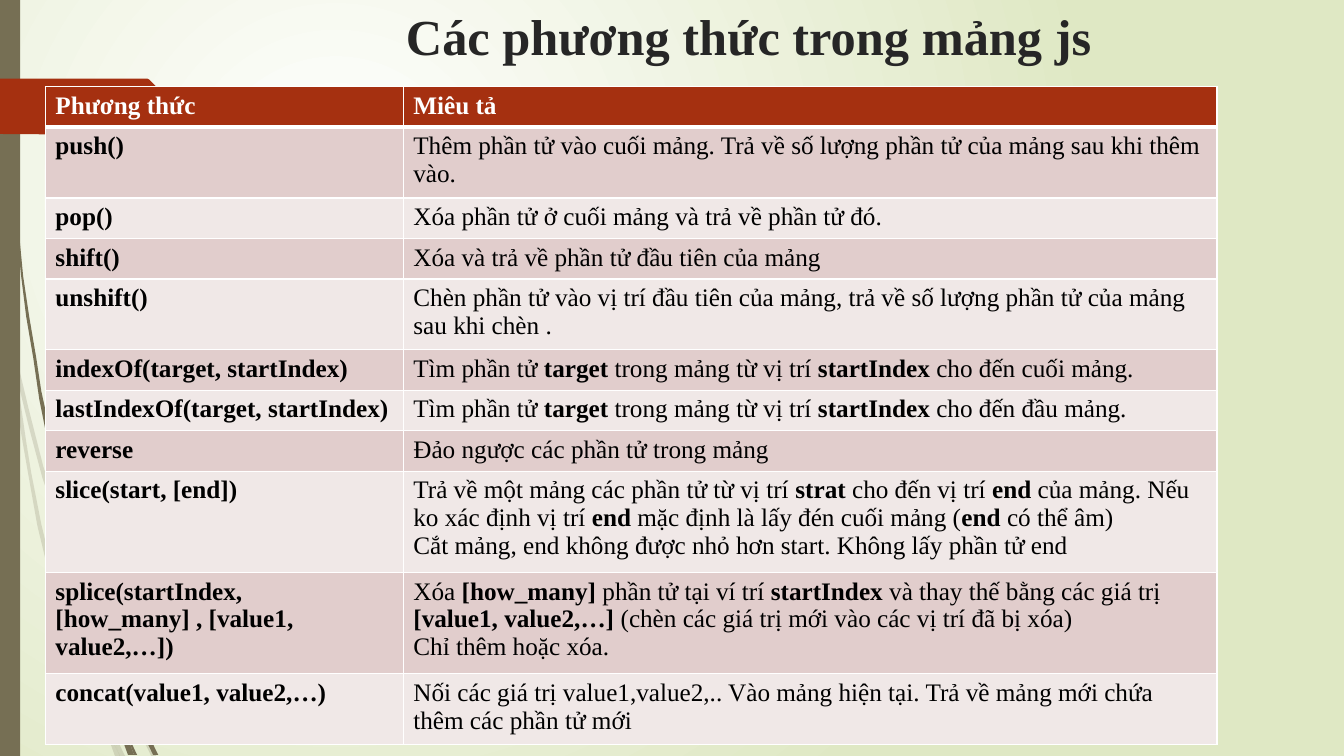
from lxml import etree
from pptx import Presentation
from pptx.dml.color import RGBColor
from pptx.enum.shapes import MSO_SHAPE
from pptx.enum.text import MSO_ANCHOR, PP_ALIGN
from pptx.oxml.ns import qn
from pptx.util import Inches, Pt

W, H = 13.33, 7.5
FONT = "Times New Roman"
OLIVE, RUST = "766F54", "A53010"
BANDS = ["E1CDCC", "F0E8E7"]

# Outlines as "x,y" corners in inches from the top left of the region.
PALE_GRASS = [
    "0.58,5.22 0.66,5.48 0.84,5.99 0.85,5.86 0.62,5.2 0.43,4.63 0.28,4.04 0.14,3.45 0.17,3.76 0.29,4.25 0.42,4.74",
    "0.92,6.07 0.88,5.96 0.88,6.1 0.99,6.39 1.23,6.94 1.5,7.5 1.55,7.5 1.27,6.92 1.03,6.36",
    "1.19,7.5 1.24,7.5 1.05,7.11",
    "0.93,6.83 0.84,6.62 0.7,6.19 0.53,5.7 0.41,5.2 0.31,4.69 0.26,4.38 0.17,3.76 0.11,3.5 0.15,3.9 0.21,4.3 "
    "0.28,4.7 0.37,5.21 0.49,5.71 0.65,6.21 0.73,6.46 0.92,6.93 1.01,7.14 0.99,7.07",
    "1.01,7.14 1.14,7.5 1.19,7.5",
    "0.96,6.92 0.93,6.83 0.99,7.07 1.01,7.14 1.19,7.5 1.05,7.11",
]
DARK_GRASS = [
    "0.07,1.1 0.09,1.51 0.12,1.92 0.17,2.33 0.21,2.74 0.26,3.14 0.33,3.55 0.39,3.96 0.47,4.36 0.57,4.81 "
    "0.55,4.53 0.48,4.2 0.41,3.88 0.36,3.55 0.29,3.14 0.23,2.74 0.19,2.32 0.14,1.91 0.1,1.51 0.08,1.09 "
    "0.05,0.48 0.04,0 0.03,0 0.04,0.48",
    "1.13,6.49 1.1,6.41 1.11,6.56 1.32,7.08 1.52,7.49 1.57,7.49 1.36,7.06",
    "1.33,7.49 1.36,7.49 1.22,7.19",
    "1.17,7.22 1.27,7.49 1.31,7.49",
    "1.16,7.06 1.1,6.91 1.16,7.17 1.17,7.22 1.3,7.49 1.33,7.49 1.22,7.19",
]
TAB = "0,0 1.46,0 1.48,0.01 1.73,0.26 1.74,0.28 1.73,0.3 1.48,0.55 1.46,0.56 0,0.55"

# Method, description (asterisks switch bold on and off), lines of text in the row.
METHODS = [
    ("push()", "Thêm phần tử vào cuối mảng. Trả về số lượng phần tử của mảng sau khi thêm vào.", 2),
    ("pop()", "Xóa phần tử ở cuối mảng và trả về phần tử đó.", 1),
    ("shift()", "Xóa và trả về phần tử đầu tiên của mảng", 1),
    ("unshift()", "Chèn phần tử vào vị trí đầu tiên của mảng, trả về số lượng phần tử của mảng sau khi chèn .", 2),
    ("indexOf(target, startIndex)",
     "Tìm phần tử *target *trong mảng từ vị trí *startIndex *cho đến cuối mảng.", 1),
    ("lastIndexOf(target, startIndex)",
     "Tìm phần tử *target *trong mảng từ vị trí *startIndex *cho đến đầu mảng.", 1),
    ("reverse", "Đảo ngược các phần tử trong mảng", 1),
    ("slice(start, [end])",
     "Trả về một mảng các phần tử từ vị trí *strat *cho đến vị trí *end *của mảng. Nếu ko xác định vị trí "
     "*end *mặc định là lấy đén cuối mảng (*end *có thể âm)\n"
     "Cắt mảng, end không được nhỏ hơn start. Không lấy phần tử end", 3),
    ("splice(startIndex, [how_many] , [value1, value2,…])",
     "Xóa *[how_many] *phần tử tại ví trí *startIndex *và thay thế bằng các giá trị "
     "*[value1, value2,…] *(chèn các giá trị mới vào các vị trí đã bị xóa)\nChỉ thêm hoặc xóa.", 3),
    ("concat(value1, value2,…)",
     "Nối các giá trị value1,value2,.. Vào mảng hiện tại. Trả về mảng mới chứa thêm các phần tử mới", 2),
]


def rgb(color):
    return RGBColor.from_string(color)


def paint(sp, color, alpha=None):
    sp.shadow.inherit = False
    sp.line.fill.background()
    sp.fill.solid()
    sp.fill.fore_color.rgb = rgb(color)
    if alpha:
        clr = sp.element.spPr.find(".//" + qn("a:srgbClr"))
        etree.SubElement(clr, qn("a:alpha"), val=str(alpha * 1000))


def add_outline(s, corners, x, y, color, alpha=None):
    """Draw a closed outline; the builder needs whole units, here 0.01 inch."""
    pts = [tuple(round(float(v) * 100) for v in c.split(",")) for c in corners.split()]
    fb = s.shapes.build_freeform(*pts[0], scale=Inches(0.01))
    fb.add_line_segments(pts[1:], close=True)
    paint(fb.convert_to_shape(Inches(x), Inches(y)), color, alpha)


def add_runs(p, text, size, color, bold=False):
    """Add text run by run; each asterisk flips bold."""
    for i, part in enumerate(text.split("*")):
        r = p.add_run()
        r.text = part
        r.font.name, r.font.size = FONT, Pt(size)
        r.font.bold = bold != (i % 2 == 1)
        r.font.color.rgb = rgb(color)


def set_background(s):
    fill = s.background.fill
    fill.gradient()
    for stop, color, pos in zip(fill.gradient_stops, ["FFFFFF", "DFE8C4"], [0, 1]):
        stop.color.rgb = rgb(color)
        stop.position = pos
    lin = s.element.find(".//" + qn("a:lin"))
    grad = lin.getparent()
    grad.remove(lin)
    circle = etree.SubElement(grad, qn("a:path"), path="circle")
    etree.SubElement(circle, qn("a:fillToRect"), l="50000", t="50000", r="100000", b="100000")


def add_left_decor(s, x, y, h):
    for corners in PALE_GRASS:
        add_outline(s, corners, x, y, OLIVE, 20)
    for corners in DARK_GRASS:
        add_outline(s, corners, x, y, OLIVE)
    bar = s.shapes.add_shape(MSO_SHAPE.RECTANGLE, Inches(x), Inches(y), Inches(0.2), Inches(h))
    paint(bar, OLIVE)
    add_outline(s, TAB, x, y + 0.78, RUST)


def add_title(s, x, y, w, h):
    tf = s.shapes.add_textbox(Inches(x), Inches(y), Inches(w), Inches(h)).text_frame
    tf.word_wrap = True
    tf.vertical_anchor = MSO_ANCHOR.MIDDLE
    p = tf.paragraphs[0]
    p.alignment = PP_ALIGN.CENTER
    add_runs(p, "Các phương thức trong mảng js", 36, "262626", True)


def set_borders(cell, top, bottom):
    tcPr = cell._tc.get_or_add_tcPr()
    for i, (side, width) in enumerate([("L", 1), ("R", 1), ("T", top), ("B", bottom)]):
        ln = etree.Element(qn("a:ln" + side), w=str(Pt(width)))
        fill = etree.SubElement(ln, qn("a:solidFill"))
        etree.SubElement(fill, qn("a:srgbClr"), val="FFFFFF")
        tcPr.insert(i, ln)


def add_method_table(s, x, y, w, h):
    rows = [("Phương thức", "Miêu tả", 1)] + METHODS
    heights = [0.1 + 0.3 * lines for *_, lines in rows]
    tbl = s.shapes.add_table(len(rows), 2, Inches(x), Inches(y), Inches(w), Inches(h)).table
    tbl.columns[0].width, tbl.columns[1].width = Inches(3.55), Inches(w - 3.55)
    for i, (*texts, _) in enumerate(rows):
        tbl.rows[i].height = Inches(h * heights[i] / sum(heights))
        for j, text in enumerate(texts):
            cell = tbl.cell(i, j)
            cell.fill.solid()
            cell.fill.fore_color.rgb = rgb(BANDS[(i - 1) % 2] if i else RUST)
            set_borders(cell, 3 if i == 1 else 1, 1 if i else 3)
            for k, line in enumerate(text.split("\n")):
                tf = cell.text_frame
                p = tf.add_paragraph() if k else tf.paragraphs[0]
                add_runs(p, line, 18, "000000" if i else "FFFFFF", i == 0 or j == 0)


def main():
    prs = Presentation()
    prs.slide_width, prs.slide_height = Inches(W), Inches(H)
    s = prs.slides.add_slide(prs.slide_layouts[6])
    set_background(s)
    add_left_decor(s, 0, 0, H)
    add_title(s, 2.55, 0.01, 9.75, 0.69)
    add_method_table(s, 0.45, 0.86, 11.62, 6.53)
    prs.save("out.pptx")


if __name__ == "__main__":
    main()
